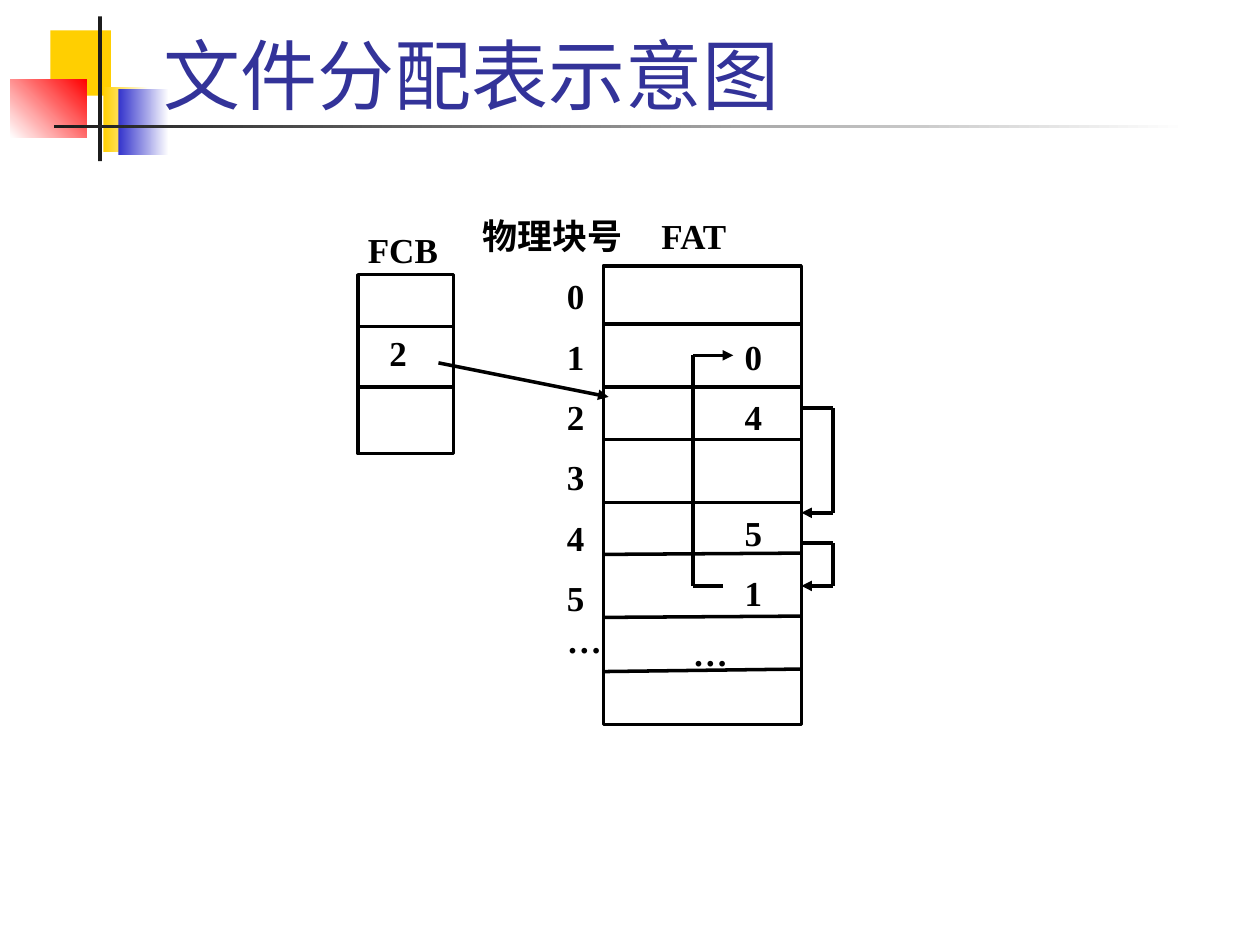
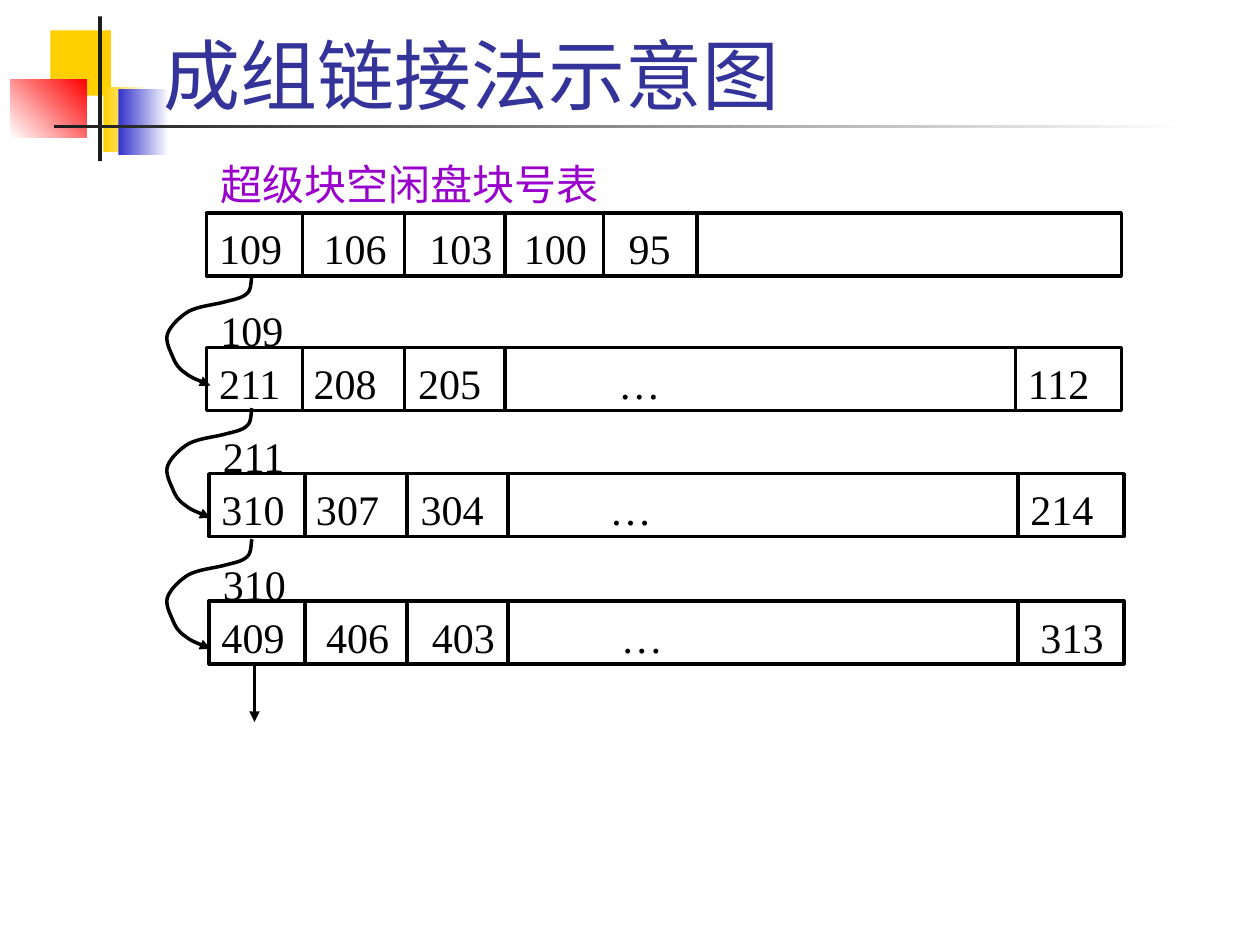
from pptx import Presentation
from pptx.dml.color import RGBColor
from pptx.enum import shapes, text
from pptx.oxml import ns, xmlchemy
from pptx import util as u

WHITE = RGBColor(0xFF, 0xFF, 0xFF)
BLACK = RGBColor(0x00, 0x00, 0x00)
INK = RGBColor(0x1C, 0x1C, 0x1C)
YELLOW = RGBColor(0xFF, 0xCF, 0x01)
BLUE = RGBColor(0x33, 0x33, 0xCC)
RED = RGBColor(0xFF, 0x00, 0x00)
TITLE_BLUE = RGBColor(0x33, 0x33, 0x99)
PURPLE = RGBColor(0x99, 0x00, 0xCC)

# Format values shared by the slides
TITLE = {"name": "Cabin", "size": u.Pt(44), "color": TITLE_BLUE}
FAT_TEXT = {"name": "Times New Roman", "size": u.Pt(20), "bold": True, "color": BLACK}
BLOCK_TEXT = {"name": "Times New Roman", "size": u.Pt(24), "color": BLACK}
CAPTION = {**BLOCK_TEXT, "color": PURPLE}
LINE_WIDTH = u.Pt(2)
ROW_GAP = 10.5  # points between the numbers of neighbouring FAT rows

# Master decoration: left, top, width, height, colours, angle
DECORATION = [
    (0.4, 0.24, 0.48, 0.52, [YELLOW], 0),
    (0.82, 0.69, 0.36, 0.52, [YELLOW, WHITE], 0),
    (0.94, 0.71, 0.4, 0.52, [BLUE, WHITE], 0),
    (0.08, 0.63, 0.61, 0.46, [WHITE, RED], 45),
    (0.78, 0.13, 0.03, 1.15, [INK], 0),
    (0.43, 0.99, 9, 0.03, [INK, WHITE], 0),
]

# Block link: start, then cubic curves (two controls and an end), from its start
LINK_START = (0, 0)
LINK_CURVES = [
    (-0.01, 0.02), (0, 0.11), (-0.04, 0.14),
    (-0.08, 0.18), (-0.16, 0.19), (-0.23, 0.21),
    (-0.31, 0.23), (-0.42, 0.24), (-0.5, 0.28),
    (-0.57, 0.32), (-0.65, 0.4), (-0.67, 0.46),
    (-0.69, 0.52), (-0.65, 0.59), (-0.63, 0.64),
    (-0.61, 0.69), (-0.59, 0.73), (-0.53, 0.77),
    (-0.48, 0.81), (-0.37, 0.85), (-0.33, 0.87),
]


def inches(*lengths):
    return [u.Inches(length) for length in lengths]


def write(shape, paragraphs, style, insets=(0, 0.03, 0, 0), anchor=text.MSO_ANCHOR.TOP):
    """Each paragraph is (words, points before, tab stops in inches)."""
    frame = shape.text_frame
    left, top, right, bottom = inches(*insets)
    settings = {"word_wrap": True, "vertical_anchor": anchor, "margin_left": left,
                "margin_top": top, "margin_right": right, "margin_bottom": bottom}
    for key, value in settings.items():
        setattr(frame, key, value)
    for number, (words, before, stops) in enumerate(paragraphs):
        paragraph = frame.add_paragraph() if number else frame.paragraphs[0]
        paragraph.alignment = text.PP_ALIGN.LEFT
        paragraph.space_before = u.Pt(before)
        if stops:
            tabs = xmlchemy.OxmlElement("a:tabLst")
            for stop in stops:
                tab = xmlchemy.OxmlElement("a:tab")
                tab.set("pos", str(u.Inches(stop)))
                tab.set("algn", "l")
                tabs.append(tab)
            paragraph._p.get_or_add_pPr().append(tabs)
        run = paragraph.add_run()
        run.text = words
        for key, value in style.items():
            if key == "color":
                run.font.color.rgb = value
            else:
                setattr(run.font, key, value)


def add_label(slide, box, words, style, **layout):
    label = slide.shapes.add_textbox(*inches(*box))
    write(label, [(words, 0, ())], style, **layout)


def add_frame(slide, box):
    frame = slide.shapes.add_shape(shapes.MSO_SHAPE.RECTANGLE, *inches(*box))
    frame.shadow.inherit = False
    frame.fill.solid()
    frame.fill.fore_color.rgb = WHITE
    frame.line.color.rgb = BLACK
    frame.line.width = LINE_WIDTH
    return frame


def add_arrowhead(line):
    head = xmlchemy.OxmlElement("a:tailEnd")
    head.set("type", "triangle")
    line.get_or_add_ln().append(head)


def add_line(slide, start, end, arrow=False):
    line = slide.shapes.add_connector(shapes.MSO_CONNECTOR.STRAIGHT, *inches(*start, *end))
    line.line.color.rgb = BLACK
    line.line.width = LINE_WIDTH
    if arrow:
        add_arrowhead(line)
    line._element.spPr.append(xmlchemy.OxmlElement("a:effectLst"))


def add_bent_arrow(slide, *corners):
    for number, (start, end) in enumerate(zip(corners, corners[1:]), 2):
        add_line(slide, start, end, arrow=number == len(corners))


def add_titled_slide(deck, title):
    slide = deck.slides.add_slide(deck.slide_layouts[6])
    for *box, colours, angle in DECORATION:
        part = slide.shapes.add_shape(shapes.MSO_SHAPE.RECTANGLE, *inches(*box))
        part.shadow.inherit = False
        part.line.fill.background()
        if len(colours) == 1:
            part.fill.solid()
            part.fill.fore_color.rgb = colours[0]
        else:
            part.fill.gradient()
            part.fill.gradient_angle = angle
            for stop, colour in zip(part.fill.gradient_stops, colours):
                stop.color.rgb = colour
    add_label(slide, (1.2, 0.17, 8.52, 0.83), title, TITLE,
              insets=(0.1, 0.05, 0.1, 0.05), anchor=text.MSO_ANCHOR.BOTTOM)
    return slide


def add_fcb(slide, left, top, width, height):
    add_label(slide, (left + 0.08, top - 0.4, 0.67, 0.29), "FCB", FAT_TEXT)
    fcb = add_frame(slide, (left, top, width, height))
    write(fcb, [("2", 0, ())], FAT_TEXT, insets=(0.25, 0.45, 0.08, 0.02))
    for offset in (0.41, 0.89):
        add_line(slide, (left, top + offset), (left + width, top + offset))


def add_fat(slide, left, top, width, height):
    right = left + width
    add_label(slide, (left + 0.46, top - 0.44, 0.67, 0.45), "FAT", FAT_TEXT)
    add_label(slide, (left - 0.96, top - 0.44, 1.19, 0.45), "物理块号", FAT_TEXT)

    # Table entries and row dividers
    fat = add_frame(slide, (left, top, width, height))
    entries = [("\t0", 0, [1.04]), ("\t4", ROW_GAP, [1.04]), ("\t5", 42, [1.04]),
               ("\t1", ROW_GAP, [1.04]), ("\t…", ROW_GAP, [0.63])]
    write(fat, entries, FAT_TEXT, insets=(0.08, 0.55, 0.08, 0.02))
    for start, end in [(0.46, 0.46), (0.96, 0.96), (1.38, 1.38), (1.88, 1.88),
                       (2.29, 2.28), (2.79, 2.78), (3.22, 3.2)]:
        add_line(slide, (left, top + start), (right, top + end))

    # Physical block numbers
    numbers = slide.shapes.add_textbox(*inches(left - 0.29, top + 0.04, 0.3, 3.26))
    rows = [(str(row), ROW_GAP if row else 0, ()) for row in range(6)]
    write(numbers, rows + [("…", 0, ())], FAT_TEXT)

    # Links from block to block
    for start, end in [(1.13, 1.96), (2.2, 2.54)]:
        add_bent_arrow(slide, (right, top + start), (right + 0.25, top + start),
                       (right + 0.25, top + end), (right, top + end))
    add_bent_arrow(slide, (left + 0.95, top + 2.54), (left + 0.71, top + 2.54),
                   (left + 0.71, top + 0.71), (left + 1.03, top + 0.71))


def add_block_row(slide, left, top, words, stops, dividers, name=None):
    width, height = 7.26, 0.5
    row = add_frame(slide, (left, top, width, height))
    write(row, [(words, 0, stops)], BLOCK_TEXT, insets=(0.1, 0.08, 0.1, 0.02))
    for offset in dividers:
        add_line(slide, (left + offset, top), (left + offset, top + height))
    if name:
        add_label(slide, (left + 0.11, top - 0.37, 0.53, 0.26), name, BLOCK_TEXT)


def add_block_link(slide, left, top):
    start, *points = [inches(left + x, top + y) for x, y in [LINK_START, *LINK_CURVES]]
    builder = slide.shapes.build_freeform(*start)
    builder.add_line_segments(points, close=False)
    link = builder.convert_to_shape()
    link.shadow.inherit = False
    link.fill.background()
    link.line.color.rgb = BLACK
    link.line.width = LINE_WIDTH
    add_arrowhead(link)
    # Turn every three segments into one cubic curve
    segments = list(link._element.iter(ns.qn("a:lnTo")))
    for first in range(0, len(segments), 3):
        curve = xmlchemy.OxmlElement("a:cubicBezTo")
        segments[first].addprevious(curve)
        for segment in segments[first:first + 3]:
            curve.append(segment[0])
            segment.getparent().remove(segment)


def build_fat_slide(deck):
    slide = add_titled_slide(deck, "文件分配表示意图")
    add_fcb(slide, 2.84, 2.18, 0.76, 1.42)
    add_fat(slide, 4.79, 2.11, 1.57, 3.64)
    add_line(slide, (3.48, 2.88), (4.83, 3.15), arrow=True)


def build_group_slide(deck):
    slide = add_titled_slide(deck, "成组链接法示意图")
    add_label(slide, (1.75, 1.23, 3.2, 0.45), "超级块空闲盘块号表", CAPTION)
    add_block_row(slide, 1.64, 1.69, "109\t106\t103\t100\t95",
                  [0.83, 1.67, 2.42, 3.25], [0.76, 1.57, 2.37, 3.15, 3.89])
    for left, top, name, words, stops in [
        (1.64, 2.76, "109", "211\t208\t205\t…\t112", [0.75, 1.58, 3.17, 6.42]),
        (1.66, 3.76, "211", "310\t307\t304\t…\t214", [0.75, 1.58, 3.08, 6.42]),
        (1.66, 4.77, "310", "409\t406\t403\t…\t313", [0.83, 1.67, 3.17, 6.5]),
    ]:
        add_block_row(slide, left, top, words, stops, [0.76, 1.57, 2.37, 6.42], name)
    for top in (2.19, 3.24, 4.28):
        add_block_link(slide, 2, top)
    add_line(slide, (2.02, 5.26), (2.02, 5.73), arrow=True)


def main():
    deck = Presentation()
    deck.slide_width, deck.slide_height = inches(10, 7.5)
    build_fat_slide(deck)
    build_group_slide(deck)
    deck.save("out.pptx")


if __name__ == "__main__":
    main()
